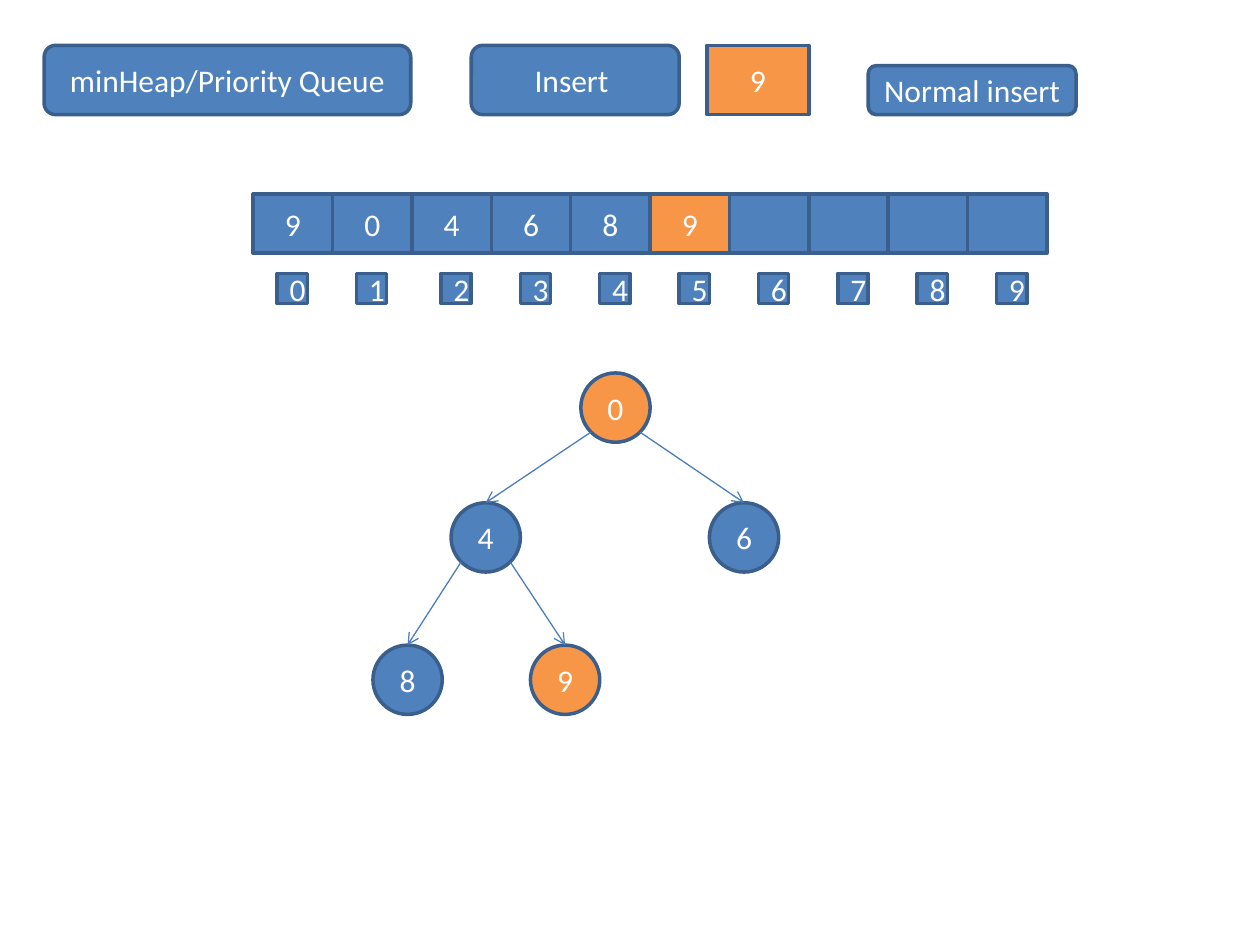
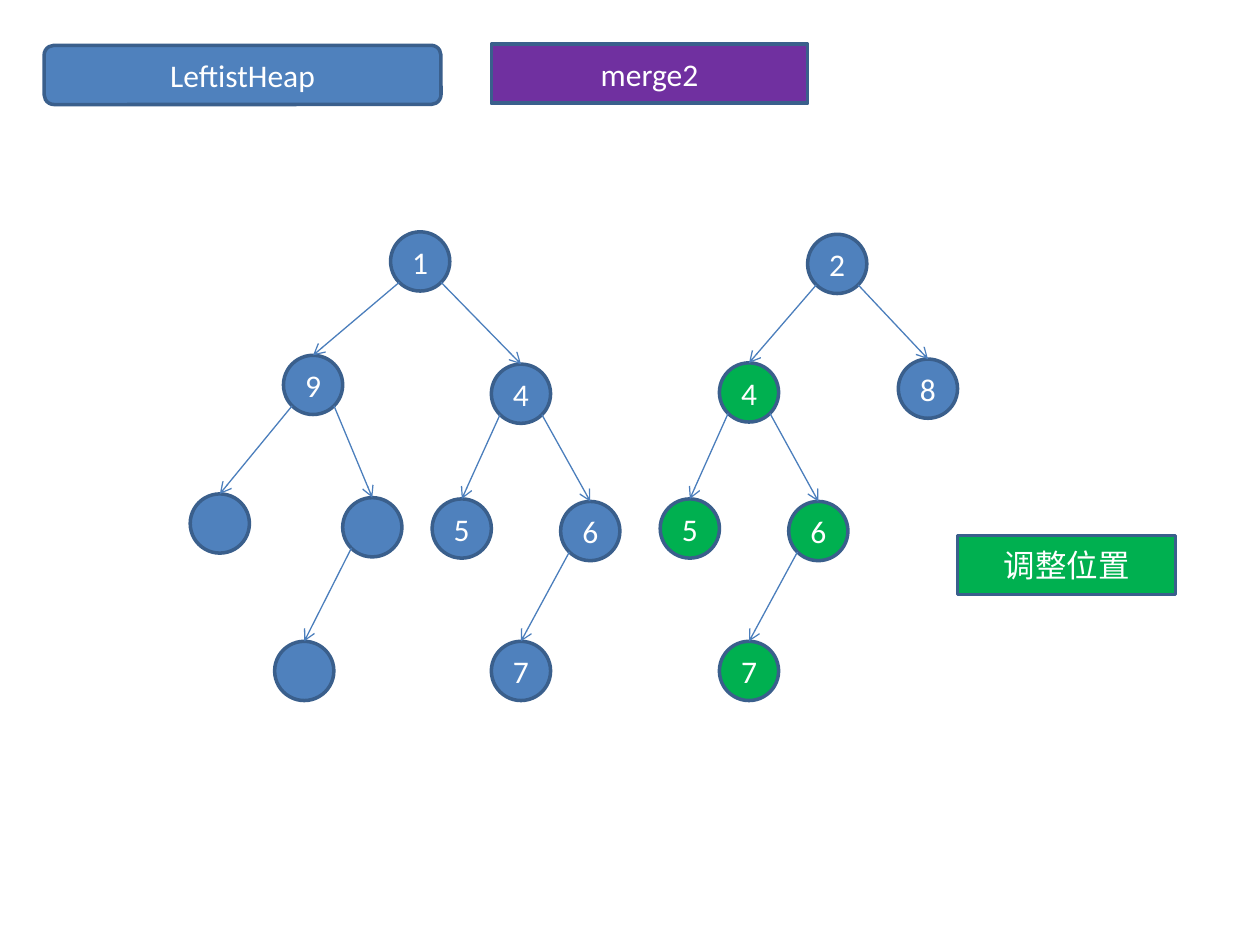
from dataclasses import dataclass
from math import sqrt

from lxml import etree
from pptx import Presentation
from pptx.dml.color import RGBColor
from pptx.enum.shapes import MSO_CONNECTOR, MSO_SHAPE
from pptx.enum.text import MSO_ANCHOR, PP_ALIGN
from pptx.oxml.ns import qn
from pptx.util import Inches, Pt

RECT = MSO_SHAPE.RECTANGLE
ROUNDED = MSO_SHAPE.ROUNDED_RECTANGLE
OVAL = MSO_SHAPE.OVAL
STRAIGHT = MSO_CONNECTOR.STRAIGHT
CENTER = PP_ALIGN.CENTER
MIDDLE = MSO_ANCHOR.MIDDLE

# The slide is a grid of 100 columns by 75 rows
WIDTH, HEIGHT = Inches(10), Inches(7.5)
COL, ROW = WIDTH / 100, HEIGHT / 75
BLANK_LAYOUT = 6
TOP = 0


@dataclass(frozen=True)
class Theme:
    blue: str = "4F81BD"
    orange: str = "F79646"
    green: str = "00B050"
    purple: str = "7030A0"
    outline: str = "3A5F8C"
    arrow: str = "4B7EBC"
    text: str = "FFFFFF"
    font: str = "Calibri"
    size: float = 18
    outline_width: float = 2
    arrow_width: float = 0.75


THEME = Theme()


@dataclass
class Node:
    """A heap node: key, left column, top row, and optional children."""
    key: str
    col: float
    row: float
    fill: str = THEME.blue
    left: "Node | None" = None
    right: "Node | None" = None


def rgb(value):
    return RGBColor.from_string(value)


# Elements
def add_box(slide, kind, text, col, row, cols, rows, fill=THEME.blue):
    sp = slide.shapes.add_shape(kind, round(col * COL), round(row * ROW),
                                round(cols * COL), round(rows * ROW))
    sp.shadow.inherit = False
    sp.fill.solid()
    sp.fill.fore_color.rgb = rgb(fill)
    sp.line.color.rgb = rgb(THEME.outline)
    sp.line.width = Pt(THEME.outline_width)
    if text:
        tf = sp.text_frame
        tf.vertical_anchor = MIDDLE
        p = tf.paragraphs[0]
        p.alignment = CENTER
        r = p.add_run()
        r.text = text
        r.font.name = THEME.font
        r.font.size = Pt(THEME.size)
        r.font.color.rgb = rgb(THEME.text)
    return sp


def add_arrow(slide, parent, child, side):
    """Arrow from the parent's lower left (-1) or right (1) to the child's top."""
    reach = parent.width / 2 / sqrt(2)
    x = round(parent.left + parent.width / 2 + side * reach)
    y = round(parent.top + parent.height / 2 + reach)
    cx = slide.shapes.add_connector(STRAIGHT, x, y, child.left, child.top)
    cx.end_connect(child, TOP)
    cx.line.color.rgb = rgb(THEME.arrow)
    cx.line.width = Pt(THEME.arrow_width)
    etree.SubElement(cx.line._get_or_add_ln(), qn("a:tailEnd"), type="arrow")
    etree.SubElement(cx._element.spPr, qn("a:effectLst"))


def add_tree(slide, node, size):
    sp = add_box(slide, OVAL, node.key, node.col, node.row, size, size, node.fill)
    for child, side in ((node.left, -1), (node.right, 1)):
        if child:
            add_arrow(slide, sp, add_tree(slide, child, size), side)
    return sp


def add_array(slide, values, marked, col, row, cell_cols, cell_rows):
    for i, value in enumerate(values):
        fill = THEME.orange if i == marked else THEME.blue
        add_box(slide, RECT, value, col + i * cell_cols, row,
                cell_cols, cell_rows, fill)
    # Index labels; the first two sit slightly further left
    for i in range(len(values)):
        inset = 1.9 if i < 2 else 2.3
        add_box(slide, RECT, str(i), col + i * cell_cols + inset, row + 6.3, 2.4, 2.4)


# Slides
def build_insert_slide(slide):
    add_box(slide, ROUNDED, "minHeap/Priority Queue", 3.5, 3.6, 29.1, 5.5)
    add_box(slide, ROUNDED, "Insert ", 37.4, 3.6, 16.5, 5.5)
    add_box(slide, RECT, "9", 56.1, 3.6, 8.1, 5.5, THEME.orange)
    add_box(slide, ROUNDED, "Normal insert", 68.9, 5.2, 16.5, 3.9)

    values = ["9", "0", "4", "6", "8", "9", "", "", "", ""]
    add_array(slide, values, 5, 20.1, 15.4, 6.3, 4.7)

    heap = Node("0", 46.1, 29.6, THEME.orange,
                Node("4", 35.8, 39.9,
                     left=Node("8", 29.6, 51.2),
                     right=Node("9", 42.1, 51.2, THEME.orange)),
                Node("6", 56.3, 39.9))
    add_tree(slide, heap, 5.5)


def four_subtree(col, row, fill):
    """The subtree 4 -> (5, 6 -> 7), which appears in both heaps."""
    seven = Node("7", col, 50.9, fill)
    return Node("4", col, row, fill,
                Node("5", col - 4.7, 39.6, fill),
                Node("6", col + 5.5, 39.8, fill, left=seven))


def build_merge_slide(slide):
    add_box(slide, ROUNDED, "LeftistHeap", 3.5, 3.6, 31.5, 4.7)
    add_box(slide, RECT, "merge2", 39, 3.5, 25.1, 4.7, THEME.purple)

    nine = Node("9", 22.5, 28.2,
                left=Node("", 15.1, 39.2),
                right=Node("", 27.2, 39.5, left=Node("", 21.8, 50.9)))
    heaps = (
        Node("1", 31, 18.4, left=nine, right=four_subtree(39, 28.9, THEME.blue)),
        Node("2", 64.1, 18.6, left=four_subtree(57.1, 28.8, THEME.green),
             right=Node("8", 71.3, 28.5)),
    )
    for heap in heaps:
        add_tree(slide, heap, 4.7)

    add_box(slide, RECT, "调整位置", 76, 42.5, 17.3, 4.7, THEME.green)


def main():
    prs = Presentation()
    prs.slide_width, prs.slide_height = WIDTH, HEIGHT
    for build in (build_insert_slide, build_merge_slide):
        build(prs.slides.add_slide(prs.slide_layouts[BLANK_LAYOUT]))
    prs.save("out.pptx")


if __name__ == "__main__":
    main()
